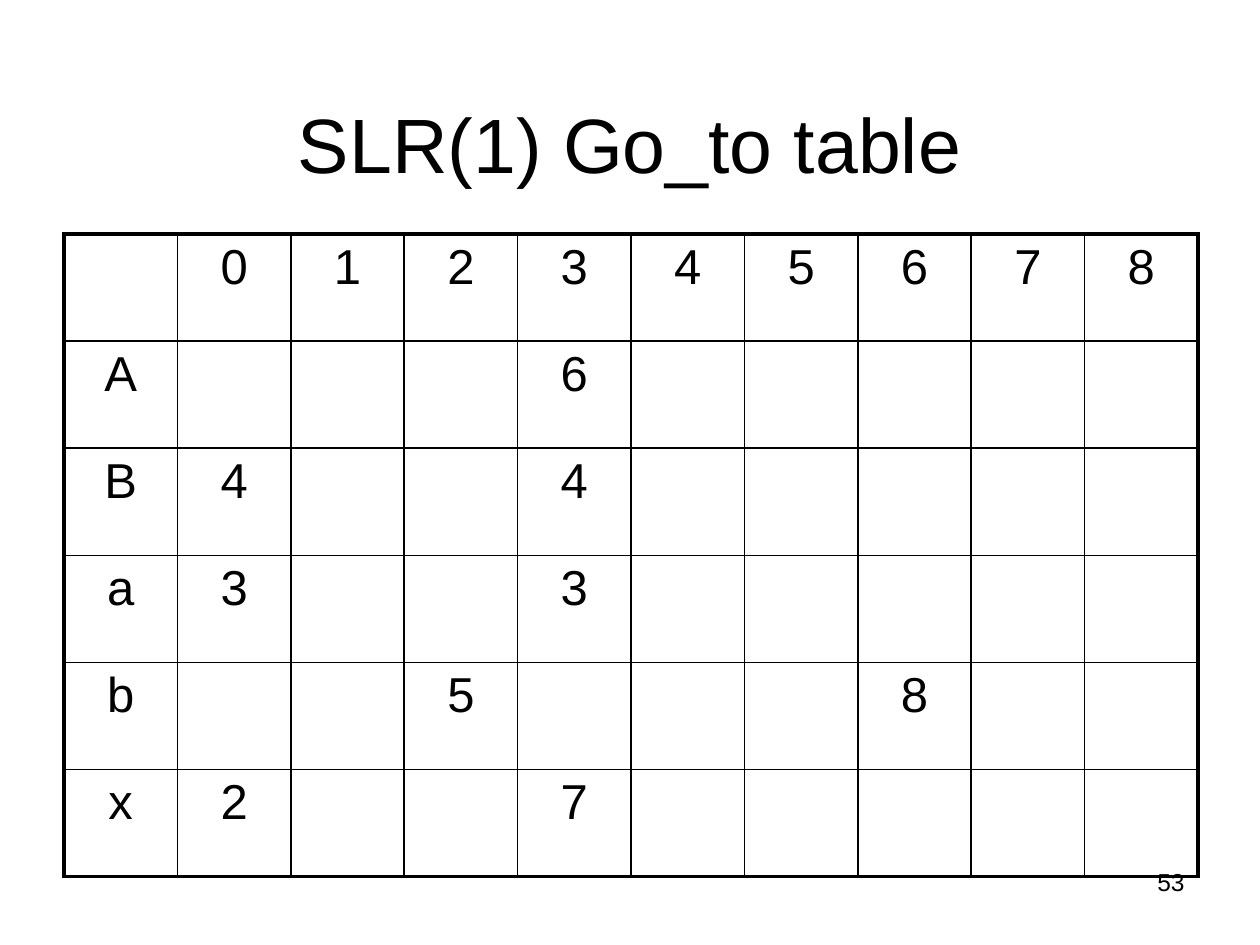
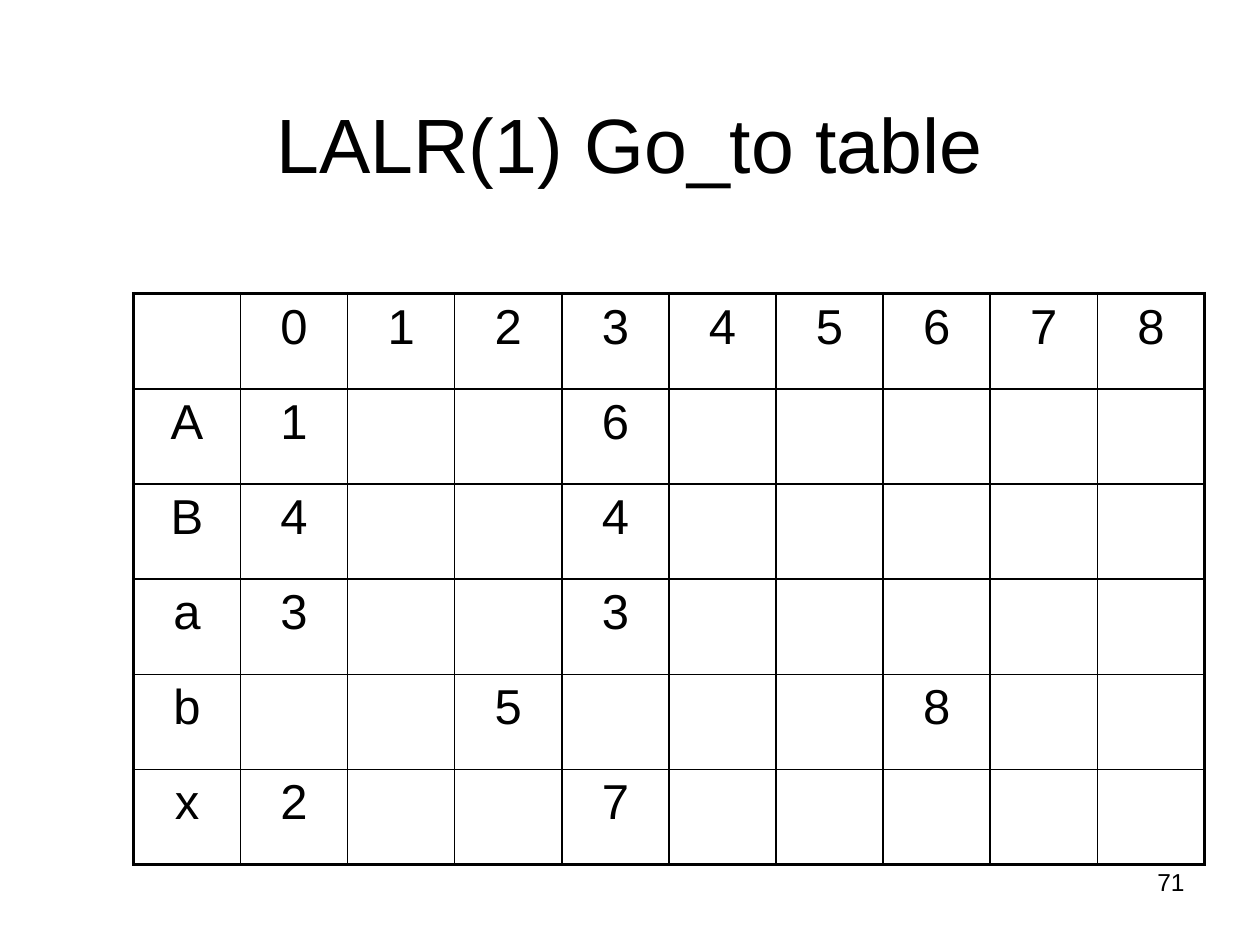
"""Builds two slides with the Go_to tables of an SLR(1) and an LALR(1) parser."""
from lxml import etree
from pptx import Presentation
from pptx.dml.color import RGBColor
from pptx.enum.text import MSO_ANCHOR, PP_ALIGN
from pptx.oxml.ns import qn
from pptx.util import Cm, Pt

LEFT, MID, RIGHT = PP_ALIGN.LEFT, PP_ALIGN.CENTER, PP_ALIGN.RIGHT
TOP, LOW = MSO_ANCHOR.TOP, MSO_ANCHOR.BOTTOM
FONT = "Arial"
HUES = {"ink": "000000", "page": "FFFFFF"}
THIN, THICK = Pt(1), Pt(2.25)
STATES = 9
SIGNS = "ABabx"

SLIDES = [
    {
        "title": "SLR(1) Go_to table",
        "page": "53",
        "box": (1.29, 4.72, 22.86, 12.95),
        "moves": {"A": {3: 6}, "B": {0: 4, 3: 4}, "a": {0: 3, 3: 3},
                  "b": {2: 5, 6: 8}, "x": {0: 2, 3: 7}},
    },
    {
        "title": "LALR(1) Go_to table",
        "page": "71",
        "box": (2.69, 5.92, 21.59, 11.51),
        "moves": {"A": {0: 1, 3: 6}, "B": {0: 4, 3: 4}, "a": {0: 3, 3: 3},
                  "b": {2: 5, 6: 8}, "x": {0: 2, 3: 7}},
    },
]


def write(frame, text, size, align):
    """Put one styled run into the first paragraph of a text frame."""
    para = frame.paragraphs[0]
    para.alignment = align
    run = para.add_run()
    run.text = text
    run.font.name = FONT
    run.font.size = Pt(size)
    run.font.color.rgb = RGBColor.from_string(HUES["ink"])


def edge(cell, side, width):
    """Draw the border of a cell on one side (L, R, T or B)."""
    line = etree.SubElement(cell._tc.get_or_add_tcPr(), qn(f"a:ln{side}"), w=str(width))
    fill = etree.SubElement(line, qn("a:solidFill"))
    etree.SubElement(fill, qn("a:srgbClr"), val=HUES["ink"])


deck = Presentation()
deck.slide_width, deck.slide_height = Cm(25.4), Cm(19.05)

for data in SLIDES:
    slide = deck.slides.add_slide(deck.slide_layouts[6])
    slide.background.fill.solid()
    slide.background.fill.fore_color.rgb = RGBColor.from_string(HUES["page"])

    for text, box, size, align, anchor in [
        (data["page"], (18.2, 17.35, 5.93, 1.32), 14, RIGHT, TOP),
        (data["title"], (1.27, 0.76, 22.86, 3.18), 44, MID, LOW),
    ]:
        frame = slide.shapes.add_textbox(*map(Cm, box)).text_frame
        frame.word_wrap = True
        frame.vertical_anchor = anchor
        write(frame, text, size, align)

    grid = [["", *map(str, range(STATES))]]
    for sign in SIGNS:
        moves = data["moves"][sign]
        grid.append([sign, *(str(moves.get(state, "")) for state in range(STATES))])

    rows, cols = len(grid), len(grid[0])
    left, top, width, height = map(Cm, data["box"])
    table = slide.shapes.add_table(rows, cols, left, top, width, height).table
    table.first_row = table.horz_banding = False
    for col in table.columns:
        col.width = width // cols
    for row in table.rows:
        row.height = height // rows

    for y, line in enumerate(grid):
        for x, text in enumerate(line):
            cell = table.cell(y, x)
            outer = {"L": x == 0, "R": x == cols - 1, "T": y == 0, "B": y == rows - 1}
            for side, thick in outer.items():
                edge(cell, side, THICK if thick else THIN)
            cell.fill.background()
            if text:
                write(cell.text_frame, text, 28, MID)

deck.save("out.pptx")
